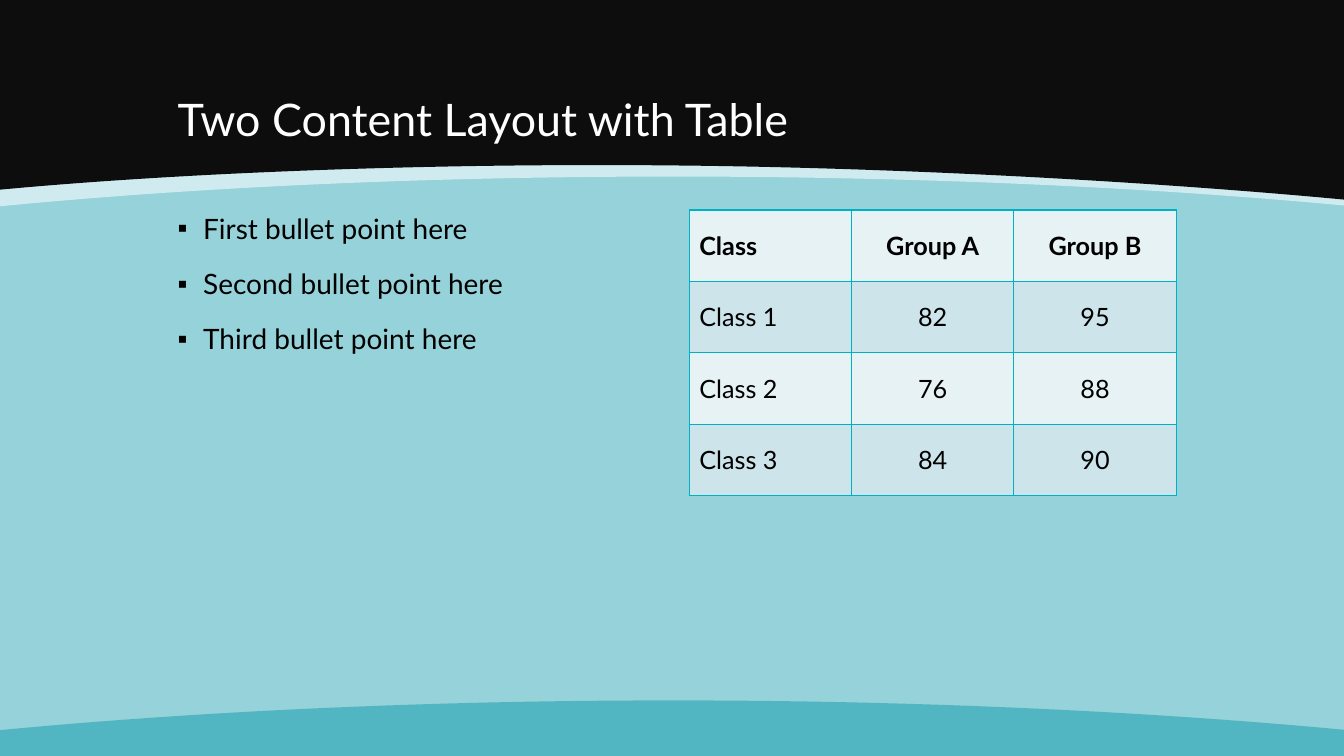
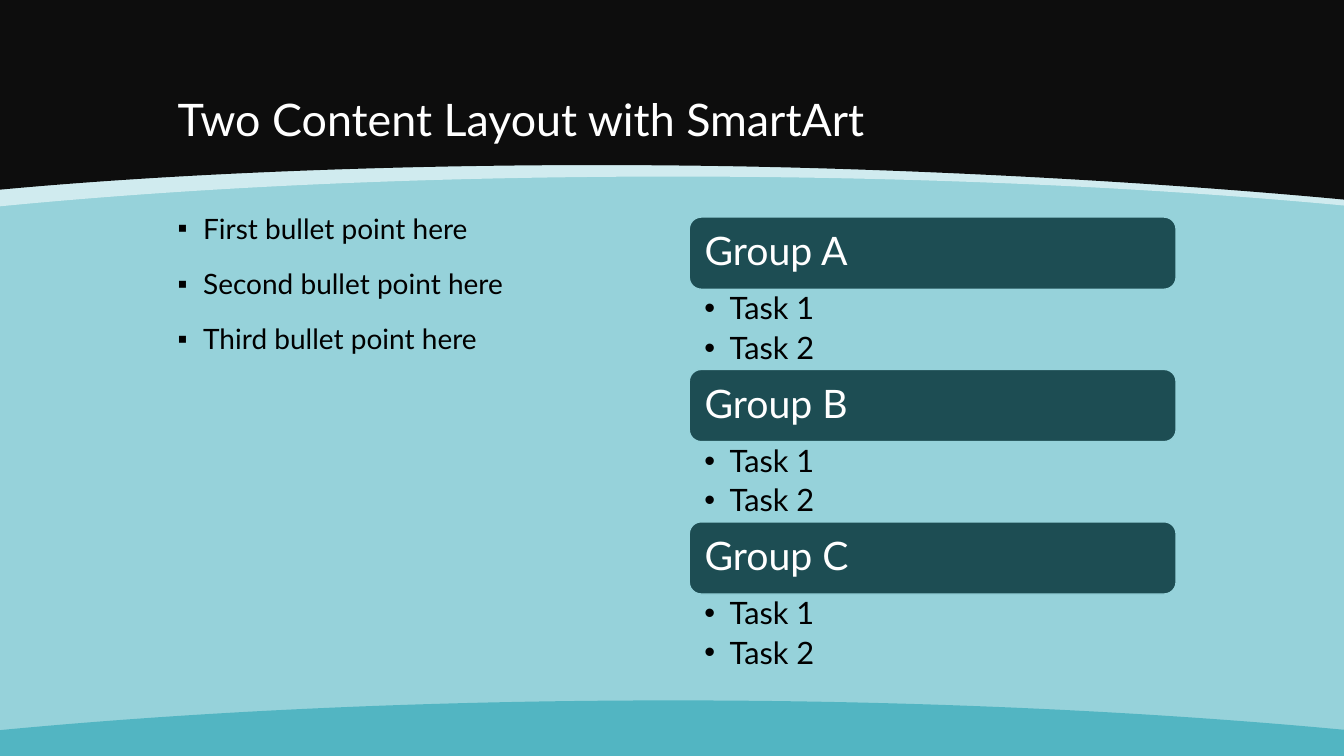
"""Build two slides with bullets beside a table and beside a grouped task list."""
import lxml.etree
import pptx
import pptx.dml.color
import pptx.enum.shapes
import pptx.enum.text
import pptx.oxml.ns
import pptx.util

Cm = pptx.util.Cm
Pt = pptx.util.Pt
ALIGN = pptx.enum.text.PP_ALIGN
ANCHOR = pptx.enum.text.MSO_ANCHOR

WIDE, HIGH = 33.87, 19.05
LEFT, RIGHT, TOP, SPAN = 4.23, 17.37, 5.29, 12.27
FONT = "Lato"
HUES = {
    "back": "96D2DA", "glow": "EAF6F8", "head": "0D0D0D", "foot": "52B5C2",
    "bar": "1D4D53", "edge": "00B1C5", "light": "E7F2F5", "dark": "CCE4EA",
    "white": "FFFFFF", "black": "000000",
}
WAVES = [
    ("glow", 70, 0, [(WIDE, 5.18), (28.96, 4.72), (23.16, 4.45), (16.97, 4.45),
                     (10.74, 4.45), (4.93, 4.72), (0, 5.2)]),
    ("head", 100, 0, [(WIDE, 5.03), (28.96, 4.57), (22.58, 4.22), (16.97, 4.17),
                      (11.3, 4.11), (4.93, 4.32), (0, 4.78)]),
    ("foot", 100, HIGH, [(WIDE, 18.39), (28.96, 17.93), (23.16, 17.65), (16.97, 17.65),
                         (10.74, 17.65), (4.93, 17.93), (0, 18.4)]),
]
POINTS = ["First bullet point here", "Second bullet point here", "Third bullet point here"]
SCORES = [
    ["Class", "Group A", "Group B"],
    ["Class 1", "82", "95"],
    ["Class 2", "76", "88"],
    ["Class 3", "84", "90"],
]
GROUPS = ["Group A", "Group B", "Group C"]
TASKS = ["Task 1", "Task 2"]


def hue(name):
    return pptx.dml.color.RGBColor.from_string(HUES[name])


def tag(name):
    return pptx.oxml.ns.qn("a:" + name)


def node(base, name, **attrs):
    return lxml.etree.SubElement(base, tag(name), **attrs)


def paint(item, name):
    item.fill.solid()
    item.fill.fore_color.rgb = hue(name)


def bend(shape):
    lines = list(shape._element.iter(tag("lnTo")))[2:8]
    for first in (0, 3):
        trio = lines[first:first + 3]
        curve = lxml.etree.Element(tag("cubicBezTo"))
        trio[0].addprevious(curve)
        for line in trio:
            curve.append(line[0])
            line.getparent().remove(line)


def wave(slide, name, alpha, side, knots):
    pen = slide.shapes.build_freeform(Cm(0), Cm(side))
    spots = [(WIDE, side)] + knots
    pen.add_line_segments([(Cm(x), Cm(y)) for x, y in spots], close=True)
    shape = pen.convert_to_shape()
    bend(shape)
    shape.shadow.inherit = False
    paint(shape, name)
    shape.line.fill.background()
    if alpha < 100:
        tint = next(shape._element.spPr.iter(tag("srgbClr")))
        node(tint, "alpha", val=str(alpha * 1000))


def write(para, text, size, name, bold=False):
    run = para.add_run()
    run.text = text
    run.font.name = FONT
    run.font.size = Pt(size)
    run.font.bold = bold
    run.font.color.rgb = hue(name)


def box(slide, left, top, width, height, anchor=ANCHOR.TOP):
    frame = slide.shapes.add_textbox(Cm(left), Cm(top), Cm(width), Cm(height)).text_frame
    frame.word_wrap = True
    frame.vertical_anchor = anchor
    return frame


def list_text(frame, items, mark, size, before=0, after=0):
    for index, item in enumerate(items):
        para = frame.add_paragraph() if index else frame.paragraphs[0]
        props = para._p.get_or_add_pPr()
        props.set("marL", str(Cm(0.64)))
        props.set("indent", str(-Cm(0.64)))
        node(props, "buFont", typeface="Arial")
        node(props, "buChar", char=mark)
        para.line_spacing = 0.9
        para.space_before = Pt(before if index else 0)
        para.space_after = Pt(after)
        write(para, item, size, "black")


def page(deck, title):
    slide = deck.slides.add_slide(deck.slide_layouts[6])
    for item in WAVES:
        wave(slide, *item)
    para = box(slide, LEFT, 0.76, 25.4, 3.05, ANCHOR.BOTTOM).paragraphs[0]
    para.line_spacing = 0.9
    write(para, title, 32, "white")
    list_text(box(slide, LEFT, TOP, SPAN, 11.86), POINTS, "▪", 20, before=18)
    return slide


def border(cell):
    props = cell._tc.get_or_add_tcPr()
    for side in ("L", "R", "T", "B"):
        line = node(props, "ln" + side, w=str(Pt(1)))
        node(node(line, "solidFill"), "srgbClr", val=HUES["edge"])


def grid(slide, rows):
    table = slide.shapes.add_table(
        len(rows), len(rows[0]), Cm(RIGHT), Cm(TOP), Cm(SPAN), Cm(1.8 * len(rows))).table
    table.first_row = table.horz_banding = False
    for r, row in enumerate(rows):
        for c, text in enumerate(row):
            cell = table.cell(r, c)
            border(cell)
            paint(cell, "dark" if r % 2 else "light")
            cell.vertical_anchor = ANCHOR.MIDDLE
            para = cell.text_frame.paragraphs[0]
            para.alignment = ALIGN.CENTER if c else ALIGN.LEFT
            write(para, text, 18, "black", bold=r == 0)


def group(slide, top, name):
    tall = 1.82
    bar = slide.shapes.add_shape(
        pptx.enum.shapes.MSO_SHAPE.ROUNDED_RECTANGLE, Cm(RIGHT), Cm(top), Cm(SPAN), Cm(tall))
    bar.shadow.inherit = False
    paint(bar, "bar")
    bar.line.color.rgb = hue("back")
    bar.line.width = Pt(1)
    frame = bar.text_frame
    frame.margin_left = frame.margin_right = Cm(0.3)
    frame.vertical_anchor = ANCHOR.MIDDLE
    para = frame.paragraphs[0]
    para.alignment = ALIGN.LEFT
    para.line_spacing = 0.9
    write(para, name, 28, "white")
    tasks = box(slide, RIGHT, top + tall, SPAN, 2.01)
    tasks.margin_left, tasks.margin_right = Cm(0.38), Cm(0.56)
    tasks.margin_top = tasks.margin_bottom = Cm(0.1)
    list_text(tasks, TASKS, "•", 22, after=4.4)


def main():
    deck = pptx.Presentation()
    deck.slide_width, deck.slide_height = Cm(WIDE), Cm(HIGH)
    paint(deck.slide_master.background, "back")
    grid(page(deck, "Two Content Layout with Table"), SCORES)
    slide = page(deck, "Two Content Layout with SmartArt")
    for index, name in enumerate(GROUPS):
        group(slide, 5.47 + 3.84 * index, name)
    deck.save("out.pptx")


if __name__ == "__main__":
    main()
